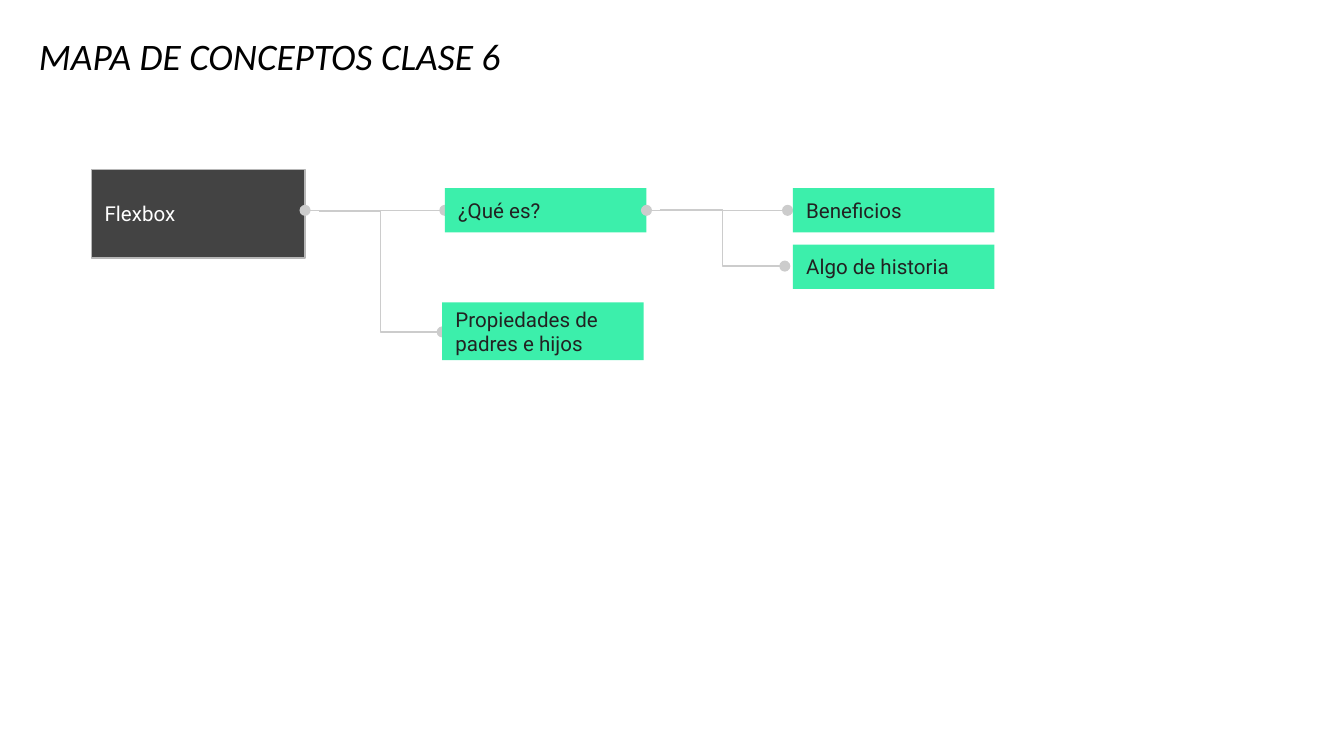
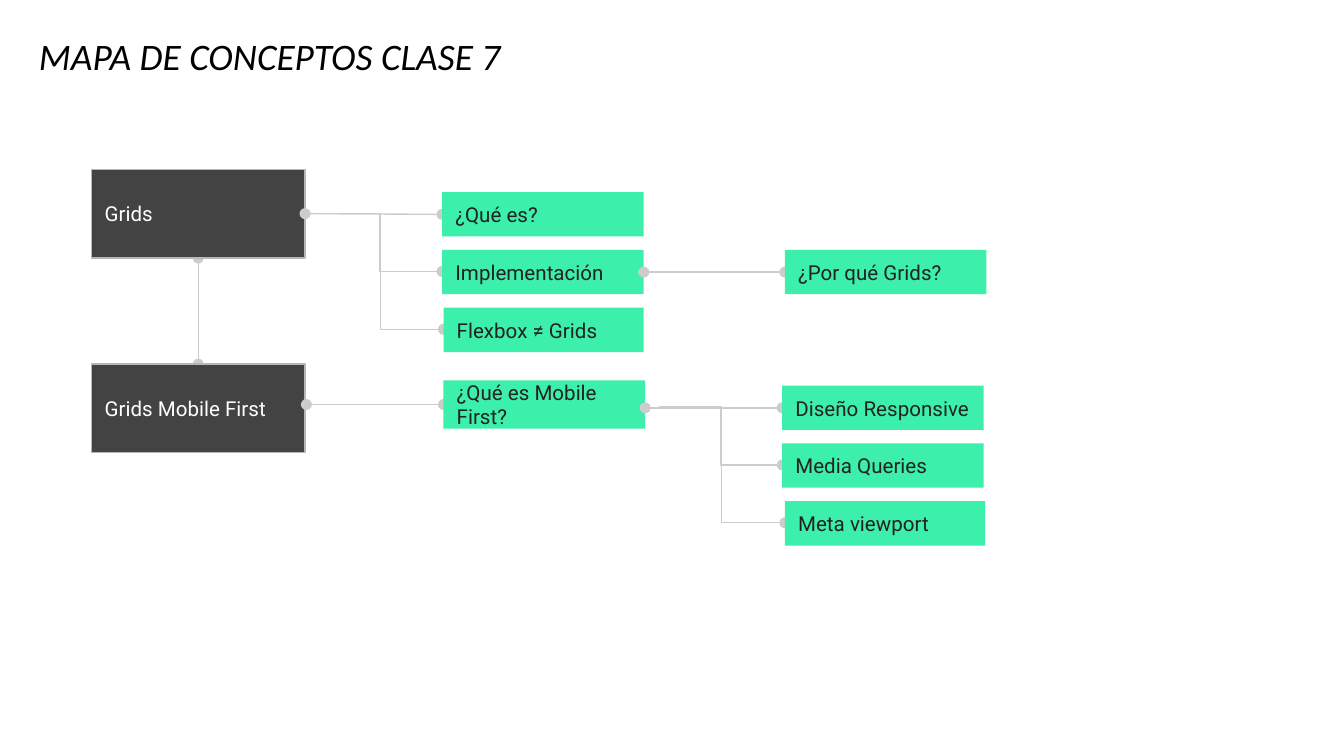
import pptx
import pptx.util
import pptx.dml.color
import pptx.enum.shapes
import pptx.enum.text
import pptx.oxml.ns
import lxml.etree

Inches = pptx.util.Inches
Kind = pptx.enum.shapes.MSO_CONNECTOR
qn = pptx.oxml.ns.qn

HUES = {"ink": "000000", "dark": "434343", "edge": "B7B7B7", "wire": "CCCCCC",
        "mint": "3CEFAB", "text": "222222", "white": "FFFFFF"}
HUES = {name: pptx.dml.color.RGBColor.from_string(code) for name, code in HUES.items()}

WIDE = 10
HIGH = WIDE * 9 / 16
ROOT = 0.68
ROOT_W, ROOT_H = 1.59, 0.66
LEAF_W, LEAF_H = 1.5, 0.33
STEP = 0.43
TOP_A, TOP_B, TOP_C = 1.4, 1.43, 2.87
MID_A, MID_C = TOP_A + LEAF_H / 2, TOP_C + LEAF_H / 2

MAPS = [
    ("MAPA DE CONCEPTOS CLASE 6", [
        ("root", "Flexbox", ROOT, 1.26),
        ("line", 2.27, MID_A, 3.31, MID_A, None, ("¿Qué es?", 1)),
        ("leaf", "¿Qué es?", 3.31, TOP_A, LEAF_W, LEAF_H),
        ("bent", 2.37, 1.57, 3.29, 2.47),
        ("leaf", "Propiedades de padres e hijos", 3.29, 2.25, LEAF_W, 0.43),
        ("line", 4.81, MID_A, 5.86, MID_A, ("¿Qué es?", 3), None),
        ("leaf", "Beneficios", 5.9, TOP_A, LEAF_W, LEAF_H),
        ("bent", 4.91, 1.56, 5.84, 1.98),
        ("leaf", "Algo de historia", 5.9, TOP_A + STEP - 0.01, LEAF_W, LEAF_H),
    ]),
    ("MAPA DE CONCEPTOS CLASE 7", [
        ("line", 1.48, 1.94, 1.48, 2.69, ("Grids", 2), ("Grids Mobile First", 0)),
        ("root", "Grids", ROOT, 1.26),
        ("root", "Grids Mobile First", ROOT, 2.71),
        ("line", 2.28, 3.01, 3.3, 3.01, None, ("¿Qué es Mobile First?", 1)),
        ("leaf", "¿Qué es Mobile First?", 3.3, 2.83, LEAF_W, 0.36),
        ("line", 2.27, 1.6, 3.31, 1.6, ("Grids", 3), ("¿Qué es?", 1)),
        ("leaf", "¿Qué es?", 3.29, TOP_B, LEAF_W, LEAF_H),
        ("bent", 2.36, 1.59, 3.29, 2.02),
        ("leaf", "Implementación", 3.29, TOP_B + STEP, LEAF_W, LEAF_H),
        ("line", 4.79, 2.03, 5.84, 2.03, ("Implementación", 3), ("¿Por qué Grids?", 1)),
        ("leaf", "¿Por qué Grids?", 5.84, TOP_B + STEP, LEAF_W, LEAF_H),
        ("bent", 2.36, 1.59, 3.3, 2.45),
        ("leaf", "Flexbox ≠ Grids", 3.3, TOP_B + 2 * STEP, 1.49, LEAF_H),
        ("line", 4.8, MID_C, 5.82, MID_C, None, ("Diseño Responsive", 1)),
        ("leaf", "Diseño Responsive", 5.82, TOP_C, LEAF_W, LEAF_H),
        ("bent", 4.9, 3.03, 5.82, 3.46),
        ("leaf", "Media Queries", 5.82, TOP_C + STEP, LEAF_W, LEAF_H),
        ("bent", 4.9, 3.03, 5.84, 3.89),
        ("leaf", "Meta viewport", 5.84, TOP_C + 2 * STEP, 1.49, LEAF_H),
    ]),
]


def write(shape, text, font, size, hue, anchor):
    frame = shape.text_frame
    frame.word_wrap = True
    frame.vertical_anchor = anchor
    frame.margin_left = frame.margin_right = Inches(0.1)
    frame.margin_top = frame.margin_bottom = Inches(0.1)
    frame.text = text
    line = frame.paragraphs[0]
    line.alignment = pptx.enum.text.PP_ALIGN.LEFT
    line.font.name = font
    line.font.size = pptx.util.Pt(size)
    line.font.color.rgb = HUES[hue]
    return line


def join(slide, kind, ends):
    wire = slide.shapes.add_connector(
        Kind.ELBOW if kind == "bent" else Kind.STRAIGHT, *map(Inches, ends))
    wire.line.color.rgb = HUES["wire"]
    wire.line.width = pptx.util.Pt(0.75)
    props = wire._element.spPr
    stroke = props.find(qn("a:ln"))
    for tag in ["a:tailEnd"] if kind == "bent" else ["a:headEnd", "a:tailEnd"]:
        lxml.etree.SubElement(stroke, qn(tag), type="oval")
    lxml.etree.SubElement(props, qn("a:effectLst"))
    return wire


deck = pptx.Presentation()
deck.slide_width, deck.slide_height = Inches(WIDE), Inches(HIGH)

for name, items in MAPS:
    slide = deck.slides.add_slide(deck.slide_layouts[5])
    title = slide.shapes.title
    title.left, title.top = Inches(0.19), Inches(0.22)
    title.width, title.height = Inches(8.26), Inches(0.46)
    head = write(title, name, "Calibri", 20, "ink", pptx.enum.text.MSO_ANCHOR.BOTTOM)
    head.font.italic = True

    boxes, glue = {}, []
    for kind, *data in items:
        if kind in ("line", "bent"):
            wire = join(slide, kind, data[:4])
            if kind == "line":
                glue.append((wire, *data[4:]))
            continue
        text, left, top, *size = data
        root = kind == "root"
        wide, high = size or (ROOT_W, ROOT_H)
        box = slide.shapes.add_shape(
            pptx.enum.shapes.MSO_SHAPE.RECTANGLE, *map(Inches, (left, top, wide, high)))
        box.shadow.inherit = False
        box.fill.solid()
        box.fill.fore_color.rgb = HUES["dark" if root else "mint"]
        if root:
            box.line.color.rgb = HUES["edge"]
            box.line.width = pptx.util.Pt(0.75)
        else:
            box.line.fill.background()
        write(box, text, "Roboto", 11, "white" if root else "text",
              pptx.enum.text.MSO_ANCHOR.MIDDLE)
        boxes[text] = box

    for wire, start, end in glue:
        if start:
            wire.begin_connect(boxes[start[0]], start[1])
        if end:
            wire.end_connect(boxes[end[0]], end[1])

deck.save("out.pptx")
